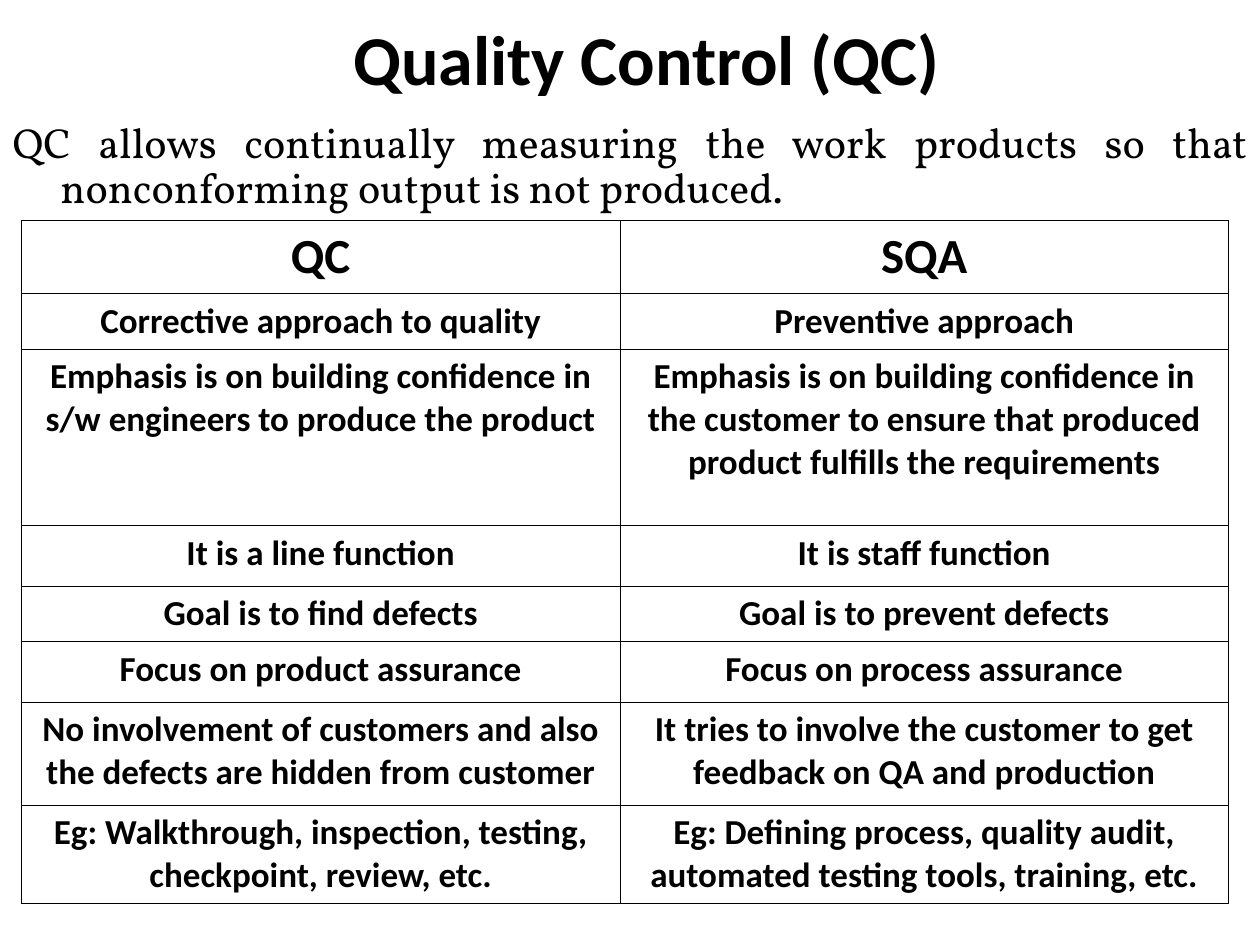
import pptx
import pptx.dml.color
import pptx.enum.text
import pptx.oxml
import pptx.oxml.ns
import pptx.util

Inches = pptx.util.Inches
Pt = pptx.util.Pt
ALIGN = pptx.enum.text.PP_ALIGN
ANCHOR = pptx.enum.text.MSO_ANCHOR

INK = "000000"
COLUMN_WIDTHS = [4.75, 4.83]
ROW_HEIGHTS = [0.58, 0.44, 1.4, 0.48, 0.44, 0.48, 0.82, 0.78]
COMPARISON = [
    ("QC", "SQA"),
    ("Corrective approach to quality", "Preventive approach"),
    ("Emphasis is on building confidence in s/w engineers to produce the product",
     "Emphasis is on building confidence in the customer to ensure that produced "
     "product fulfills the requirements"),
    ("It is a line function", "It is staff function"),
    ("Goal is to find defects", "Goal is to prevent defects"),
    ("Focus on product assurance", "Focus on process assurance"),
    ("No involvement of customers and also the defects are hidden from customer",
     "It tries to involve the customer to get feedback on QA and production"),
    ("Eg: Walkthrough, inspection, testing, checkpoint, review, etc.",
     "Eg: Defining process, quality audit, automated testing tools, training, etc."),
]


def rgb(value):
    """Return the colour for a hex string."""
    return pptx.dml.color.RGBColor.from_string(value)


def write_text(frame, text, size, font="Calibri", bold=True, color=INK,
               align=ALIGN.CENTER, spacing=1.0, hanging=0):
    """Write one formatted paragraph without a bullet and return nothing."""
    paragraph = frame.paragraphs[0]
    paragraph.text = text
    paragraph.alignment = align
    paragraph.line_spacing = spacing
    paragraph.space_before = Pt(0)
    properties = paragraph._p.get_or_add_pPr()
    properties.set("marL", str(Inches(hanging)))
    properties.set("indent", str(-Inches(hanging)))
    properties.append(pptx.oxml.parse_xml(
        f"<a:buNone {pptx.oxml.ns.nsdecls('a')}/>"))
    paragraph.font.name = font
    paragraph.font.size = Pt(size)
    paragraph.font.bold = bold
    paragraph.font.color.rgb = rgb(color)


def fill_placeholder(placeholder, box, text, anchor, **text_format):
    """Move a placeholder to its box and write its text."""
    placeholder.left, placeholder.top, placeholder.width, placeholder.height = map(Inches, box)
    frame = placeholder.text_frame
    frame.word_wrap = True
    frame.auto_size = pptx.enum.text.MSO_AUTO_SIZE.NONE
    frame.vertical_anchor = anchor
    write_text(frame, text, **text_format)


def outline_cell(cell, color=INK, width=0.45):
    """Draw a thin line on all four sides of a cell."""
    properties = cell._tc.get_or_add_tcPr()
    for position, side in enumerate(("lnL", "lnR", "lnT", "lnB")):
        properties.insert(position, pptx.oxml.parse_xml(
            f"<a:{side} {pptx.oxml.ns.nsdecls('a')} w='{Pt(width)}'>"
            f"<a:solidFill><a:srgbClr val='{color}'/></a:solidFill></a:{side}>"))


def add_comparison(slide, left, top):
    """Add the table that compares QC with SQA."""
    table = slide.shapes.add_table(
        len(ROW_HEIGHTS), len(COLUMN_WIDTHS), Inches(left), Inches(top),
        Inches(sum(COLUMN_WIDTHS)), Inches(sum(ROW_HEIGHTS))).table
    table.first_row = table.horz_banding = False
    for column, width in zip(table.columns, COLUMN_WIDTHS):
        column.width = Inches(width)
    for index, (row, height, entries) in enumerate(zip(table.rows, ROW_HEIGHTS, COMPARISON)):
        row.height = Inches(height)
        for cell, entry in zip(row.cells, entries):
            cell.fill.background()
            outline_cell(cell)
            write_text(cell.text_frame, entry, size=20 if index else 28)


def main():
    """Build the quality control slide."""
    presentation = pptx.Presentation()
    presentation.slide_width, presentation.slide_height = Inches(10), Inches(7.5)
    slide = presentation.slides.add_slide(presentation.slide_layouts[1])
    fill_placeholder(slide.shapes.title, (1.17, 0.17, 7.92, 0.58),
                     "Quality Control (QC)", ANCHOR.MIDDLE, size=40)
    fill_placeholder(slide.placeholders[1], (0, 0.92, 10, 5.78),
                     "QC allows continually measuring the work products so that "
                     "nonconforming output is not produced.", ANCHOR.TOP,
                     size=24, font="Vollkorn", bold=False, align=ALIGN.JUSTIFY,
                     spacing=0.9, hanging=0.38)
    add_comparison(slide, 0.17, 1.75)
    presentation.save("out.pptx")


if __name__ == "__main__":
    main()
